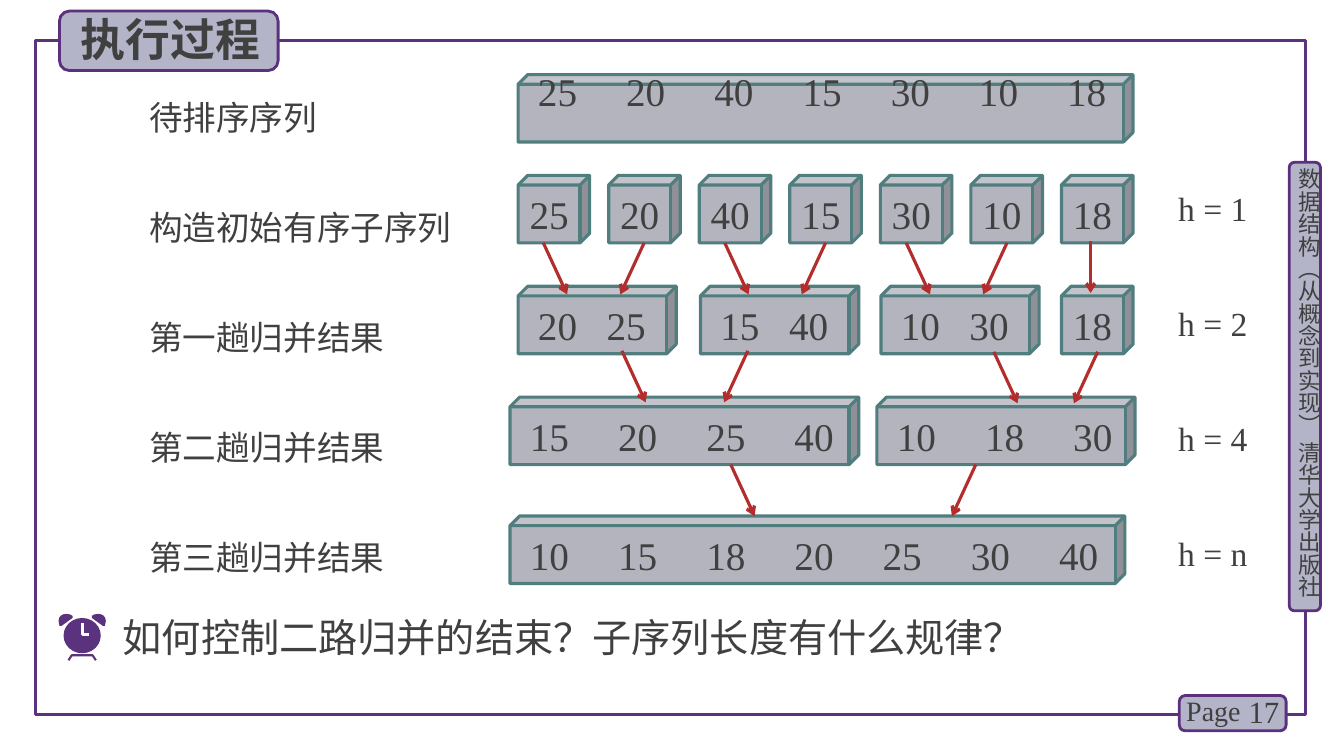
"""Build the slide that shows the steps of a merge sort."""
from lxml.etree import SubElement
from pptx import Presentation
from pptx.dml.color import RGBColor
from pptx.enum.shapes import MSO_CONNECTOR as CONN, MSO_SHAPE as SHAPE
from pptx.enum.text import MSO_ANCHOR as ANCHOR, MSO_AUTO_SIZE as AUTO, PP_ALIGN as ALIGN
from pptx.oxml.ns import qn
from pptx.util import Pt

PURPLE = RGBColor(0x5A, 0x32, 0x7D)
TAB_LINE = RGBColor(0x5C, 0x30, 0x7D)
TAB_FILL = RGBColor(0xB4, 0xB4, 0xC8)
CUBE_FILL = RGBColor(0xB4, 0xB4, 0xBE)
CUBE_LINE = RGBColor(0x50, 0x7D, 0x7D)
RED = RGBColor(0xB4, 0x2D, 0x2D)
GREY = RGBColor(0x40, 0x40, 0x40)
WHITE = RGBColor(0xFF, 0xFF, 0xFF)
CJK, LATIN = "Noto Sans CJK SC", "Times New Roman"

CUBE_H = 48.2
PAIR, WIDE = 49, 63
CUBES = [
    (370.1, 53.3, 439.2, "25 20 40 15 30 10 18", WIDE),
    *((370.1 + 64.68 * i, 125.3, 51.1, key, 0)
      for i, key in enumerate("25 20 40 15 30 10 18".split())),
    (370.1, 204.5, 113, "20 25", PAIR),
    (500.4, 204.5, 113, "15 40", PAIR),
    (629.3, 204.5, 113, "10 30", PAIR),
    (758.2, 204.5, 51.1, "18", 0),
    (364.3, 283.7, 249.1, "15 20 25 40", WIDE),
    (626.4, 283.7, 184.3, "10 18 30", WIDE),
    (364.3, 368.6, 439.2, "10 15 18 20 25 30 40", WIDE),
]
ARROW_DX, ARROW_DY = 17, 36.8
ARROWS = [
    *((388.1 + 129.6 * i, 173.5, 1) for i in range(3)),
    *((460.1 + 129.6 * i, 173.5, -1) for i in range(3)),
    (779, 172.5, 0),
    (444.2, 250.6, 1), (534.2, 250.6, -1),
    (709.9, 251.3, 1), (784.1, 251.3, -1),
    (522, 331.9, 1), (697, 331.9, -1),
]
STEPS = ["待排序序列", "构造初始有序子序列", "第一趟归并结果", "第二趟归并结果", "第三趟归并结果"]
LENGTHS = ["h = 1", "h = 2", "h = 4", "h = n"]

CLOCK_MIDDLE = 58.7
BELL = [(42.5, 447.1), (41.8, 443.5), (42.3, 441.2), (43.5, 439.7), (45.3, 438.8),
        (47.5, 438.5), (50, 438.9), (51.8, 439.9), (51.8, 441.4), (43.9, 447.1)]
FEET = [(48.9, 471.6), (51.3, 468), (66.1, 468), (68.5, 471.6)]
HANDS = [(58.7, 445.2), (58.7, 453.3), (63.7, 453.3)]


def put_text(sp, text, size=24, font=CJK, bold=False, align=ALIGN.LEFT,
             anchor=ANCHOR.TOP, pitch=0, vert=None, insets=(7.2, 3.6, 7.2, 3.6)):
    tf = sp.text_frame
    tf.word_wrap = True
    tf.auto_size = AUTO.NONE
    tf.vertical_anchor = anchor
    tf.margin_left, tf.margin_top, tf.margin_right, tf.margin_bottom = map(Pt, insets)
    if vert:
        tf._txBody.bodyPr.set("vert", vert)
    p = tf.paragraphs[0]
    p.alignment = align
    if pitch:
        tabs = SubElement(p._p.get_or_add_pPr(), qn("a:tabLst"))
        for i in range(1, text.count("\t") + 1):
            SubElement(tabs, qn("a:tab"), pos=str(Pt(pitch * i)), algn="l")
    r = p.add_run()
    r.text = text
    r.font.size, r.font.bold, r.font.name = Pt(size), bold, font
    r.font.color.rgb = GREY
    SubElement(r._r.get_or_add_rPr(), qn("a:ea"), typeface=font)


def paint(sp, fill=None, line=None, width=2.25):
    sp.shadow.inherit = False
    if fill is None:
        sp.fill.background()
    else:
        sp.fill.solid()
        sp.fill.fore_color.rgb = fill
    if line is None:
        sp.line.fill.background()
    else:
        sp.line.color.rgb = line
        sp.line.width = Pt(width)


def add_box(shapes, kind, place, **style):
    sp = shapes.add_shape(kind, *map(Pt, place))
    paint(sp, **style)
    return sp


def add_label(shapes, place, text, **fmt):
    put_text(shapes.add_textbox(*map(Pt, place)), text, **fmt)


def add_cube(shapes, x, y, w, keys, pitch, raised=False):
    sp = add_box(shapes, SHAPE.CUBE, (x, y, w, CUBE_H), fill=CUBE_FILL, line=CUBE_LINE)
    sp.adjustments[0] = 0.143
    if pitch:
        insets = (14.2, 3.6, 0, 36 if raised else 3.6)
        align = ALIGN.LEFT
    else:
        insets, align = (0, 3.6, 0, 3.6), ALIGN.CENTER
    put_text(sp, keys.replace(" ", "\t"), size=28, font=LATIN, align=align,
             anchor=ANCHOR.MIDDLE, pitch=pitch, insets=insets)


def add_arrow(shapes, x, y, side):
    c = shapes.add_connector(CONN.STRAIGHT, Pt(x), Pt(y),
                             Pt(x + side * ARROW_DX), Pt(y + ARROW_DY))
    c.line.color.rgb = RED
    c.line.width = Pt(2.25)
    SubElement(c.line._get_or_add_ln(), qn("a:tailEnd"), type="arrow")
    SubElement(c._element.spPr, qn("a:effectLst"))


def add_outline(shapes, points, close=False, **style):
    start, *rest = [(Pt(x), Pt(y)) for x, y in points]
    builder = shapes.build_freeform(*start)
    builder.add_line_segments(rest, close=close)
    paint(builder.convert_to_shape(), **style)


def add_clock(shapes):
    clock = shapes.add_group_shape().shapes
    add_outline(clock, FEET, line=PURPLE, width=1.5)
    add_outline(clock, BELL, close=True, fill=PURPLE)
    add_outline(clock, [(2 * CLOCK_MIDDLE - x, y) for x, y in BELL], close=True, fill=PURPLE)
    add_box(clock, SHAPE.OVAL, (45.4, 441.4, 26.6, 25.2), fill=PURPLE)
    add_outline(clock, HANDS, line=WHITE, width=2)


def add_frame(shapes):
    tab = dict(fill=TAB_FILL, line=TAB_LINE, width=2)
    add_box(shapes, SHAPE.RECTANGLE, (25.2, 28.8, 907.2, 481.7), line=PURPLE)
    add_box(shapes, SHAPE.ROUNDED_RECTANGLE, (920.9, 115.9, 22.3, 320.4), **tab)
    add_label(shapes, (925.2, 120.2, 19.4, 323.3), "数据结构（从概念到实现） 清华大学出版社",
              size=16, vert="eaVert", insets=(0, 0, 0, 0))
    add_box(shapes, SHAPE.ROUNDED_RECTANGLE, (842.4, 496.8, 76.3, 25.2), **tab)
    add_label(shapes, (878.4, 493.9, 42.5, 28.8), "17", size=22, font=LATIN,
              align=ALIGN.RIGHT, anchor=ANCHOR.MIDDLE)
    add_label(shapes, (840.2, 491.8, 56.2, 31.7), "Page", size=20, font=LATIN,
              insets=(7.2, 3.6, 0, 3.6))
    add_box(shapes, SHAPE.ROUNDED_RECTANGLE, (42.5, 7.9, 156.2, 42.5), **tab)


def add_title(s, text):
    title = s.shapes.title
    title.left, title.top, title.width, title.height = map(Pt, (50.4, 5, 151.2, 46.1))
    put_text(title, text, size=32, bold=True)
    s.shapes._spTree.append(title._element)


def main():
    prs = Presentation()
    prs.slide_width, prs.slide_height = Pt(960), Pt(540)
    s = prs.slides.add_slide(prs.slide_layouts[5])
    shapes = s.shapes
    add_frame(shapes)
    add_title(s, "执行过程")
    for i, cube in enumerate(CUBES):
        add_cube(shapes, *cube, raised=i == 0)
    for arrow in ARROWS:
        add_arrow(shapes, *arrow)
    for i, step in enumerate(STEPS):
        add_label(shapes, (99.4, 65.5 + 78.7 * i, 247.7, 36), step)
    for i, length in enumerate(LENGTHS):
        add_label(shapes, (834.5, 131 + 82.1 * i, 76.3, 36), length, font=LATIN)
    add_clock(shapes)
    add_label(shapes, (80.6, 434.2, 694.8, 41), "如何控制二路归并的结束？子序列长度有什么规律？", size=28)
    prs.save("out.pptx")


if __name__ == "__main__":
    main()
